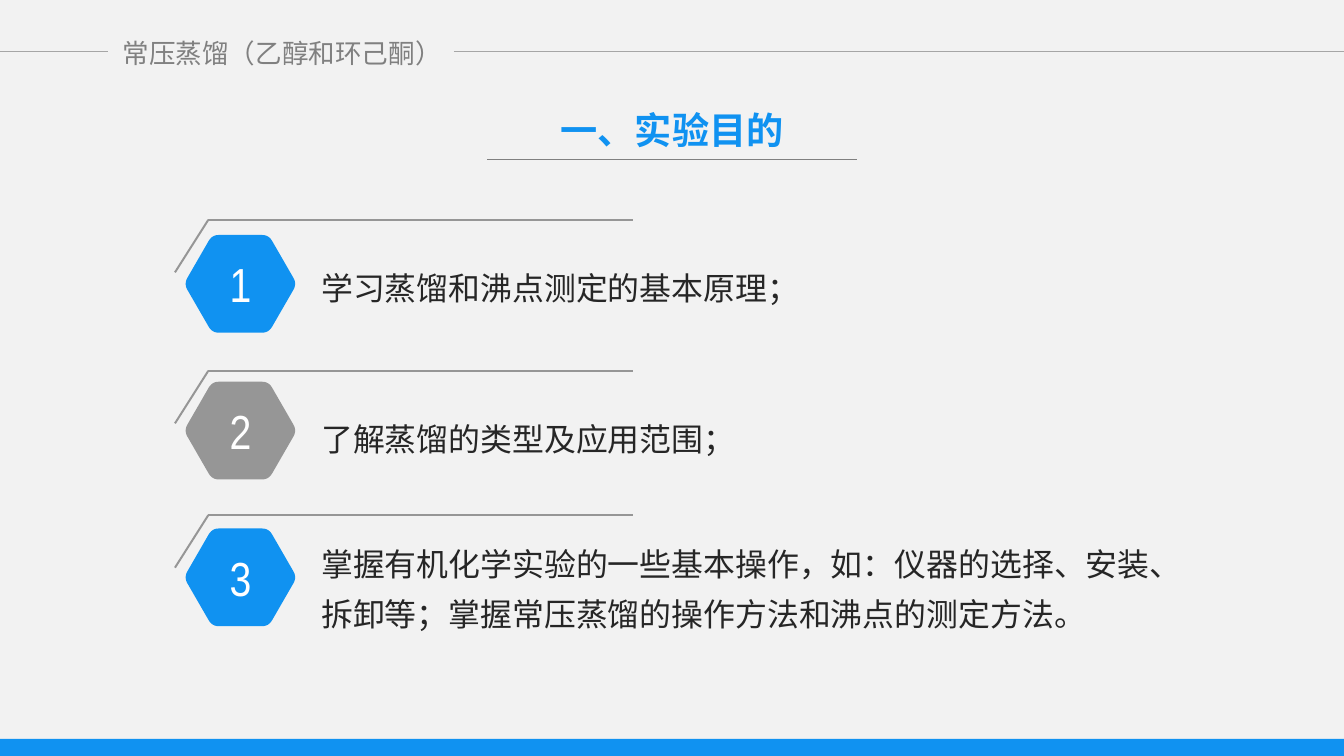
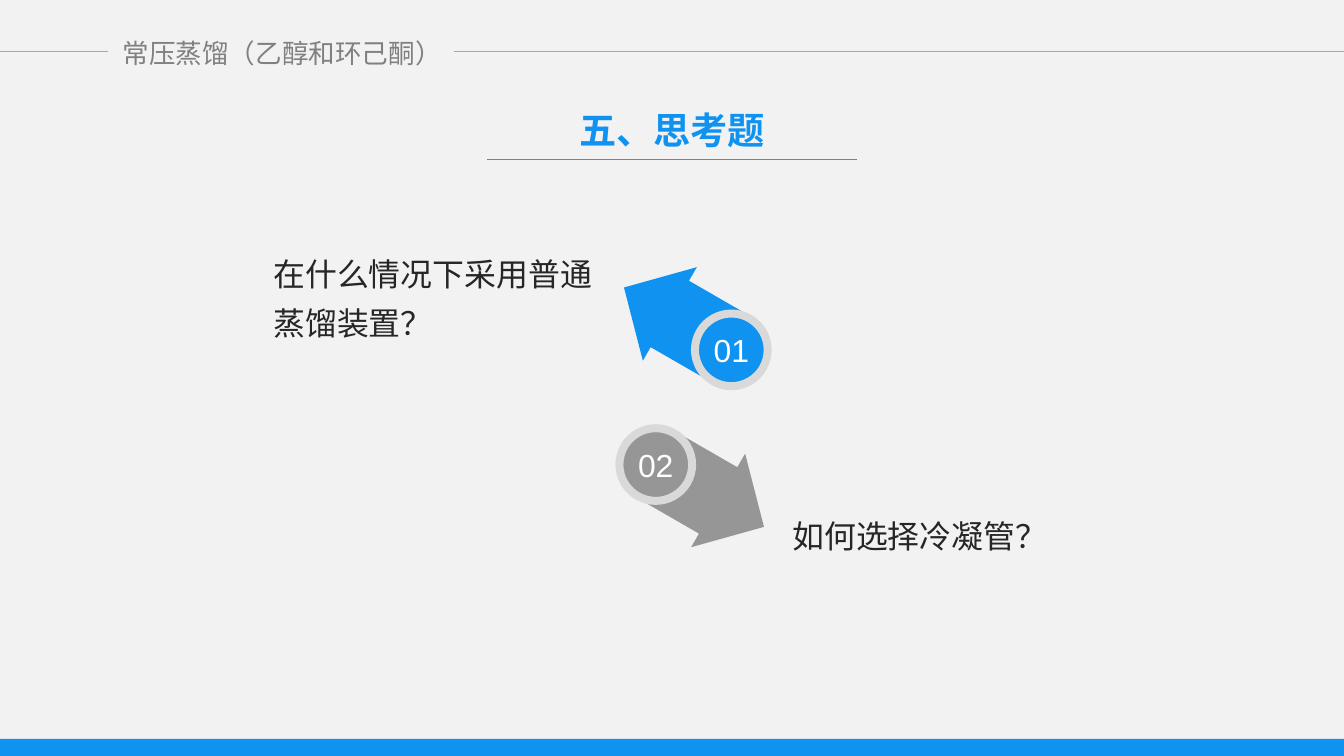
"""Build the aims and questions slides of a distillation lesson."""
import math
from lxml import etree
from pptx import Presentation
from pptx import util as u
from pptx.dml.color import RGBColor
from pptx.enum import lang, shapes, text
from pptx.oxml.ns import qn

COLORS = {
    "background": "F2F2F2", "blue": "1092F1", "grey": "969696", "rule": "A6A6A6",
    "heading": "808080", "body": "262626", "ring": "D9D9D9", "white": "FFFFFF",
}
COLORS = {name: RGBColor.from_string(value) for name, value in COLORS.items()}
LEFT, CENTER = text.PP_ALIGN.LEFT, text.PP_ALIGN.CENTER
TOP, MIDDLE = text.MSO_ANCHOR.TOP, text.MSO_ANCHOR.MIDDLE

presentation = Presentation()
presentation.slide_width, presentation.slide_height = u.Inches(14.06), u.Inches(7.91)
column, row = presentation.slide_width / 100, presentation.slide_height / 100


def place(*shares):
    """Turn alternating percentages of slide width and height into lengths."""
    return [round(share * (row if index % 2 else column)) for index, share in enumerate(shares)]


def write(shape, words, size, color, font, align=LEFT, anchor=TOP, spacing=1.0, bold=False):
    """Fill a shape with one formatted paragraph and no insets."""
    frame = shape.text_frame
    frame.text = words
    frame.word_wrap = True
    frame.auto_size = text.MSO_AUTO_SIZE.NONE
    frame.vertical_anchor = anchor
    frame.margin_left = frame.margin_top = frame.margin_right = frame.margin_bottom = 0
    paragraph = frame.paragraphs[0]
    paragraph.alignment, paragraph.line_spacing = align, spacing
    style = paragraph.runs[0].font
    style.name, style.size, style.bold = font, u.Pt(size), bold
    style.color.rgb = COLORS[color]
    style.language_id = lang.MSO_LANGUAGE_ID.SIMPLIFIED_CHINESE


background = presentation.slide_master.background.fill
background.solid()
background.fore_color.rgb = COLORS["background"]

layout = presentation.slide_layouts[5]
for placeholder in list(layout.placeholders)[1:]:
    placeholder.element.getparent().remove(placeholder.element)
title = layout.placeholders[0]
title.left, title.top, title.width, title.height = place(39.4, 14.16, 21.2, 5.94)

slides = []
for heading in ("一、实验目的", "五、思考题"):
    slide = presentation.slides.add_slide(layout)
    write(slide.shapes.title, heading, 28, "blue", "Times New Roman", CENTER, bold=True)
    slides.append(slide)
aims, questions = slides

painted = []
band = aims.shapes.add_shape(shapes.MSO_SHAPE.RECTANGLE, *place(0, 97.75, 100, 2.25))
painted.append((band, "blue", None))
lesson = aims.shapes.add_textbox(*place(8.25, 4.8, 25.5, 4.3))
write(lesson, "常压蒸馏（乙醇和环己酮）", 20, "heading", "Arial", CENTER, MIDDLE)
shared = [band, lesson]

rules = [
    ((0, 6.83, 8.04, 6.83), "rule", 1, True),
    ((33.78, 6.83, 100, 6.83), "rule", 1, True),
    ((36.27, 21.11, 63.73, 21.11), "heading", 0.75, True),
]

goals = [
    (29.08, 4.93, "学习蒸馏和沸点测定的基本原理；", "blue"),
    (49.05, 4.93, "了解蒸馏的类型及应用范围；", "grey"),
    (68.14, 2.4, "掌握有机化学实验的一些基本操作，如：仪器的选择、安装、拆卸等；"
     "掌握常压蒸馏的操作方法和沸点的测定方法。", "blue"),
]
radius, rounding, curve_steps = 4.2 * column, 0.12, 6
for index, (elbow, gap, words, color) in enumerate(goals):
    rules.append(((13.02, elbow + 6.95, 15.5, elbow), "grey", 1.5, False))
    rules.append(((15.5, elbow, 47.08, elbow), "grey", 1.5, False))
    body = aims.shapes.add_textbox(*place(23.9, elbow + gap, 61.9, 12.64))
    write(body, words, 24, "body", "Times New Roman", spacing=1.3)

    center_x, center_y = place(17.89, 37.55 + 19.41 * index)
    corners = [(center_x + radius * math.cos(math.radians(60 * corner)),
                center_y + radius * math.sin(math.radians(60 * corner))) for corner in range(6)]
    outline = []
    for corner, (x, y) in enumerate(corners):
        before, after = corners[corner - 1], corners[(corner + 1) % 6]
        for step in range(curve_steps + 1):
            share = step / curve_steps
            back, ahead = rounding * (1 - share) ** 2, rounding * share ** 2
            outline.append((round(x + back * (before[0] - x) + ahead * (after[0] - x)),
                            round(y + back * (before[1] - y) + ahead * (after[1] - y))))
    builder = aims.shapes.build_freeform(*outline[0])
    builder.add_line_segments(outline[1:], close=True)
    hexagon = builder.convert_to_shape()
    write(hexagon, str(index + 1), 36, "white", "Arial Narrow", CENTER, MIDDLE)
    painted.append((hexagon, color, None))

prompts = [
    ("01", "在什么情况下采用普通蒸馏装置？", "blue", 210,
     (45.8, 35.02), (51.71, 41.47), (20.34, 32.11, 24.68, 12.64)),
    ("02", "如何选择冷凝管？", "grey", 30,
     (48.15, 58.41), (46.09, 56.64), (58.96, 66.88, 21.27, 5.94)),
]
for number, words, color, angle, arrow_corner, badge_corner, body_area in prompts:
    arrow = questions.shapes.add_shape(shapes.MSO_SHAPE.RIGHT_ARROW, *place(*arrow_corner, 9.32, 14.29))
    arrow.adjustments[0], arrow.adjustments[1] = 0.71, 0.49
    arrow.rotation = angle
    badge = questions.shapes.add_shape(shapes.MSO_SHAPE.OVAL, *place(*badge_corner, 5.41, 9.61))
    write(badge, number, 24, "white", "Arial", CENTER, MIDDLE)
    badge.text_frame.word_wrap = False
    painted += [(arrow, color, None), (badge, color, "ring")]
    body = questions.shapes.add_textbox(*place(*body_area))
    write(body, words, 24, "body", "Times New Roman", spacing=1.3)

for shape, color, ring in painted:
    shape.shadow.inherit = False
    shape.fill.solid()
    shape.fill.fore_color.rgb = COLORS[color]
    if ring:
        shape.line.color.rgb = COLORS[ring]
        shape.line.width = u.Pt(6)
    else:
        shape.line.fill.background()

for ends, color, weight, on_layout in rules:
    rule = aims.shapes.add_connector(shapes.MSO_CONNECTOR.STRAIGHT, *place(*ends))
    rule.line.color.rgb = COLORS[color]
    rule.line.width = u.Pt(weight)
    etree.SubElement(rule.element.spPr, qn("a:effectLst"))
    if on_layout:
        shared.append(rule)

for number, shape in enumerate(shared, start=20):
    shape.element.xpath(".//p:cNvPr")[0].set("id", str(number))
    layout.shapes.element.append(shape.element)

presentation.save("out.pptx")
